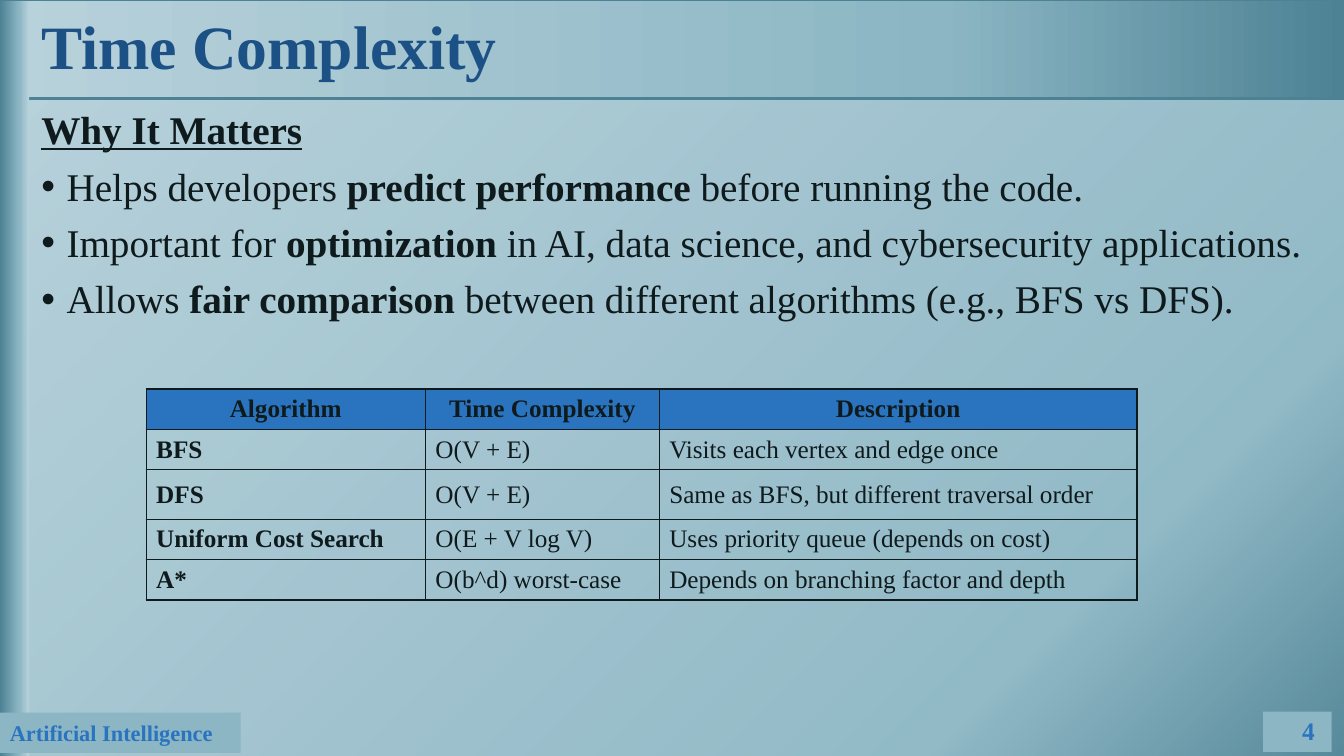
import pptx
import pptx.util
import pptx.dml.color
import pptx.enum.shapes
import pptx.enum.text
import pptx.oxml
import pptx.oxml.ns

Pt = pptx.util.Pt
RGBColor = pptx.dml.color.RGBColor
ALIGN = pptx.enum.text.PP_ALIGN
ANCHOR = pptx.enum.text.MSO_ANCHOR
qn = pptx.oxml.ns.qn
NAMESPACE = pptx.oxml.ns.nsdecls("a")

FONT = "Times New Roman"
PALE = RGBColor(0xD6, 0xE5, 0xEA)
LIGHT = RGBColor(0xB8, 0xD2, 0xDB)
MEDIUM = RGBColor(0x8C, 0xB6, 0xC4)
DEEP = RGBColor(0x4C, 0x82, 0x94)
BLUE = RGBColor(0x2A, 0x74, 0xBF)
NAVY = RGBColor(0x1C, 0x51, 0x86)
INK = RGBColor(0x0F, 0x1A, 0x1D)

REASONS = [
    ("Helps developers ", "predict performance", " before running the code."),
    ("Important for ", "optimization",
     " in AI, data science, and cybersecurity applications."),
    ("Allows ", "fair comparison",
     " between different algorithms (e.g., BFS vs DFS)."),
]
ALGORITHMS = [
    ("Algorithm", "Time Complexity", "Description"),
    ("BFS", "O(V + E)", "Visits each vertex and edge once"),
    ("DFS", "O(V + E)", "Same as BFS, but different traversal order"),
    ("Uniform Cost Search", "O(E + V log V)", "Uses priority queue (depends on cost)"),
    ("A*", "O(b^d) worst-case", "Depends on branching factor and depth"),
]
COLUMN_WIDTHS = (199.5, 167, 341.3)
ROW_HEIGHTS = (28.8, 28.8, 35.3, 28.8, 28.8)
LINEAR = '<a:lin ang="{}" scaled="0"/>'
FROM_CORNER = '<a:path path="circle"><a:fillToRect l="100000" t="100000"/></a:path>'


def style_run(run, size, color, bold=True):
    run.font.name = FONT
    run.font.size = Pt(size)
    run.font.bold = bold
    run.font.color.rgb = color


def write_line(frame, text, size, color, align=ALIGN.LEFT, bold=True):
    frame.text = text
    frame.vertical_anchor = ANCHOR.MIDDLE
    line = frame.paragraphs[0]
    line.alignment = align
    style_run(line.runs[0], size, color, bold)
    return line


def add_panel(slide, left, top, width, height):
    panel = slide.shapes.add_shape(
        pptx.enum.shapes.MSO_SHAPE.RECTANGLE,
        Pt(left), Pt(top), Pt(width), Pt(height))
    panel.shadow.inherit = False
    panel.line.fill.background()
    panel.fill.solid()
    panel.fill.fore_color.rgb = MEDIUM
    return panel


def apply_gradient(panel, middle, direction, opacity=100):
    stops = "".join(
        f'<a:gs pos="{position * 1000}"><a:srgbClr val="{color}">'
        f'<a:alpha val="{opacity * 1000}"/></a:srgbClr></a:gs>'
        for position, color in ((0, DEEP), (middle, MEDIUM), (100, LIGHT)))
    gradient = pptx.oxml.parse_xml(
        f'<a:gradFill {NAMESPACE} rotWithShape="1"><a:gsLst>{stops}</a:gsLst>'
        f'{direction}</a:gradFill>')
    properties = panel._element.spPr
    properties.replace(properties.find(qn("a:solidFill")), gradient)


def add_backdrop(slide):
    slide.background.fill.solid()
    slide.background.fill.fore_color.rgb = PALE
    apply_gradient(add_panel(slide, 0, 0.7, 960, 542), 20, FROM_CORNER, 92)
    header = add_panel(slide, 0.7, -0.7, 960, 71.3)
    apply_gradient(header, 30, LINEAR.format(180 * 60000))
    header.line.color.rgb = DEEP
    header.line.width = Pt(2.25)
    add_panel(slide, 902.2, 508.3, 49, 28.8)
    apply_gradient(add_panel(slide, 0, 0.7, 20.9, 540.7), 66, LINEAR.format(0))
    footer = add_panel(slide, 0, 509, 172, 28.8)
    write_line(footer.text_frame, "Artificial Intelligence", 16, BLUE)


def place(slide, placeholder, left, top, width, height):
    slide.shapes._spTree.append(placeholder._element)
    placeholder.left, placeholder.top = Pt(left), Pt(top)
    placeholder.width, placeholder.height = Pt(width), Pt(height)
    frame = placeholder.text_frame
    frame.word_wrap = True
    frame.auto_size = pptx.enum.text.MSO_AUTO_SIZE.NONE
    return frame


def add_title(slide):
    frame = place(slide, slide.shapes.title, 22.3, 2.9, 896.4, 64.8)
    write_line(frame, "Time Complexity", 44, NAVY).line_spacing = 0.9


def format_item(item, bulleted):
    item.alignment = ALIGN.JUSTIFY
    item.line_spacing = 0.9
    item.space_before = Pt(10)
    properties = item._p.get_or_add_pPr()
    indent = Pt(18) if bulleted else 0
    properties.set("marL", str(indent))
    properties.set("indent", str(-indent))
    marks = ('<a:buFont {} typeface="Arial"/>', '<a:buChar {} char="•"/>')
    for mark in marks if bulleted else ("<a:buNone {}/>",):
        properties.append(pptx.oxml.parse_xml(mark.format(NAMESPACE)))


def add_reasons(slide):
    frame = place(slide, slide.placeholders[1], 22.3, 75.6, 925.2, 450.7)
    frame.vertical_anchor = ANCHOR.TOP
    frame.text = "Why It Matters"
    heading = frame.paragraphs[0]
    format_item(heading, False)
    style_run(heading.runs[0], 28, INK)
    heading.runs[0].font.underline = True
    for parts in REASONS:
        item = frame.add_paragraph()
        format_item(item, True)
        for index, part in enumerate(parts):
            run = item.add_run()
            run.text = part
            style_run(run, 28, INK, index == 1)


def add_page_number(slide):
    box = slide.shapes.add_textbox(Pt(812.9), Pt(507.6), Pt(133.2), Pt(28.8))
    box.text_frame.word_wrap = True
    write_line(box.text_frame, "4", 18, BLUE, ALIGN.RIGHT)


def outline_cell(cell):
    properties = cell._tc.get_or_add_tcPr()
    for side in "LRTB":
        properties.append(pptx.oxml.parse_xml(
            f'<a:ln{side} {NAMESPACE} w="{Pt(1)}"><a:solidFill>'
            f'<a:srgbClr val="{INK}"/></a:solidFill></a:ln{side}>'))


def add_algorithm_table(slide):
    table = slide.shapes.add_table(
        len(ALGORITHMS), len(COLUMN_WIDTHS), Pt(104.4), Pt(277.9),
        Pt(sum(COLUMN_WIDTHS)), Pt(sum(ROW_HEIGHTS))).table
    table.horz_banding = False
    for column, width in zip(table.columns, COLUMN_WIDTHS):
        column.width = Pt(width)
    for row, height in zip(table.rows, ROW_HEIGHTS):
        row.height = Pt(height)
    for row_index, texts in enumerate(ALGORITHMS):
        for column_index, text in enumerate(texts):
            cell = table.cell(row_index, column_index)
            is_header = row_index == 0
            write_line(cell.text_frame, text, 18, INK,
                       ALIGN.CENTER if is_header else ALIGN.LEFT,
                       is_header or column_index == 0)
            cell.vertical_anchor = ANCHOR.MIDDLE
            outline_cell(cell)
            if is_header:
                cell.fill.solid()
                cell.fill.fore_color.rgb = BLUE
            else:
                cell.fill.background()


def main():
    deck = pptx.Presentation()
    deck.slide_width, deck.slide_height = Pt(960), Pt(540)
    slide = deck.slides.add_slide(deck.slide_layouts[1])
    add_backdrop(slide)
    add_title(slide)
    add_reasons(slide)
    add_page_number(slide)
    add_algorithm_table(slide)
    deck.save("out.pptx")


if __name__ == "__main__":
    main()
